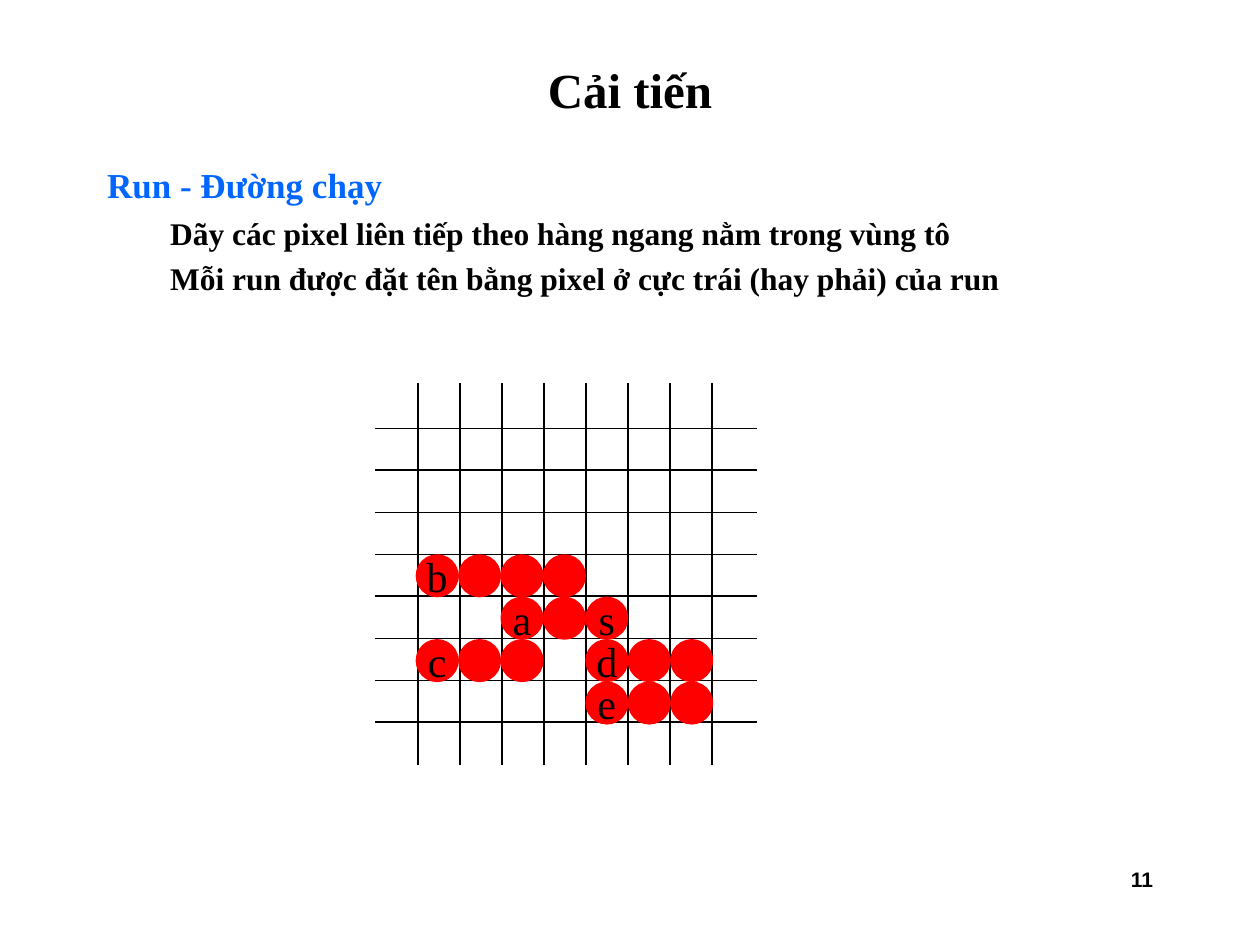
from lxml import etree
from pptx import Presentation
from pptx import util as u
from pptx.dml.color import RGBColor
from pptx.enum import shapes, text
from pptx.oxml.ns import qn

BLACK = RGBColor(0x00, 0x00, 0x00)
BLUE = RGBColor(0x00, 0x66, 0xFF)
RED = RGBColor(0xFF, 0x00, 0x00)
SERIF = "Times New Roman"

# Grid of lines
GRID_LINES = 8
GRID_STEP = 1 / 3
GRID_X, GRID_Y = 3.32, 3.4
LEFT, RIGHT, TOP, BOTTOM = 2.98, 6.01, 3.04, 6.07

# Pixels of the filled region: (row, first column, one label per pixel)
PIXEL_X, PIXEL_Y = 3.32, 4.42
PIXEL_STEP = 1.01 / 3
PIXEL_SIZE = 0.3
RUNS = [
    (0, 0, ["b", "", "", ""]),
    (1, 2, ["a", "", "s"]),
    (2, 0, ["c", "", ""]),
    (2, 4, ["d", "", ""]),
    (3, 4, ["e", "", ""]),
]


class Deck:
    """Holds the text styles and the current slide."""

    styles = {
        "title": dict(name=SERIF, size=u.Pt(28), bold=True, color=BLACK),
        "heading": dict(name=SERIF, size=u.Pt(20), bold=True, color=BLUE),
        "item": dict(name=SERIF, size=u.Pt(18), bold=True, color=BLACK),
        "pixel": dict(name=SERIF, size=u.Pt(24), bold=False, color=BLACK),
        "number": dict(name="Arial", size=u.Pt(12), bold=True, color=BLACK),
    }

    def __init__(self, prs):
        self.slide = prs.slides.add_slide(prs.slide_layouts[1])

    def add_text(self, p, words, style, align):
        p.alignment = align
        r = p.add_run()
        r.text = words
        for key, value in self.styles[style].items():
            if key == "color":
                r.font.color.rgb = value
            else:
                setattr(r.font, key, value)

    def place(self, sp, *box):
        sp.left, sp.top, sp.width, sp.height = map(u.Inches, box)
        sp.text_frame.auto_size = text.MSO_AUTO_SIZE.NONE
        return sp.text_frame

    def title(self, words, *box):
        tf = self.place(self.slide.shapes.title, *box)
        tf.vertical_anchor = text.MSO_ANCHOR.MIDDLE
        self.add_text(tf.paragraphs[0], words, "title", text.PP_ALIGN.CENTER)

    def body(self, items, *box):
        tf = self.place(self.slide.placeholders[1], *box)
        for i, (level, words) in enumerate(items):
            p = tf.add_paragraph() if i else tf.paragraphs[0]
            p.level = level
            p.space_before = u.Pt(4.5 if i else 0)
            margin, indent = [(0.38, -0.38), (0.81, -0.31)][level]
            pPr = p._p.get_or_add_pPr()
            pPr.set("marL", str(u.Inches(margin)))
            pPr.set("indent", str(u.Inches(indent)))
            etree.SubElement(pPr, qn("a:buNone"))
            self.add_text(p, words, ["heading", "item"][level], text.PP_ALIGN.LEFT)

    def line(self, *ends):
        c = self.slide.shapes.add_connector(
            shapes.MSO_CONNECTOR.STRAIGHT, *map(u.Inches, ends))
        c.line.color.rgb = BLACK
        c.line.width = u.Pt(1)
        etree.SubElement(c._element.spPr, qn("a:effectLst"))

    def pixel(self, x, y, label):
        sp = self.slide.shapes.add_shape(
            shapes.MSO_SHAPE.OVAL, *map(u.Inches, (x, y, PIXEL_SIZE, PIXEL_SIZE)))
        sp.shadow.inherit = False
        sp.fill.solid()
        sp.fill.fore_color.rgb = RED
        sp.line.color.rgb = RED
        sp.line.width = u.Pt(3)
        if label:
            tf = sp.text_frame
            tf.word_wrap = False
            tf.vertical_anchor = text.MSO_ANCHOR.MIDDLE
            self.add_text(tf.paragraphs[0], label, "pixel", text.PP_ALIGN.CENTER)

    def number(self, words, *box):
        tf = self.slide.shapes.add_textbox(*map(u.Inches, box)).text_frame
        tf.word_wrap = True
        self.add_text(tf.paragraphs[0], words, "number", text.PP_ALIGN.RIGHT)


def main():
    prs = Presentation()
    prs.slide_width, prs.slide_height = u.Inches(10), u.Inches(7.5)
    s = Deck(prs)

    # Title and list
    s.title("Cải tiến", 0.75, 0.33, 8.5, 0.75)
    s.body([
        (0, "Run - Đường chạy"),
        (1, "Dãy các pixel liên tiếp theo hàng ngang nằm trong vùng tô"),
        (1, "Mỗi run được đặt tên bằng pixel ở cực trái (hay phải) của run"),
    ], 0.75, 1.25, 8.5, 5.42)

    # Grid: horizontal lines, then vertical ones
    for i in range(GRID_LINES):
        y = GRID_Y + i * GRID_STEP
        s.line(LEFT, y, RIGHT, y)
    for i in range(GRID_LINES):
        x = GRID_X + i * GRID_STEP
        s.line(x, TOP, x, BOTTOM)

    # Runs of pixels
    for row, first, labels in RUNS:
        for col, label in enumerate(labels, first):
            s.pixel(PIXEL_X + col * PIXEL_STEP, PIXEL_Y + row * PIXEL_STEP, label)

    # Slide number
    s.number("11", 7.17, 6.83, 2.08, 0.5)

    prs.save("out.pptx")


if __name__ == "__main__":
    main()
